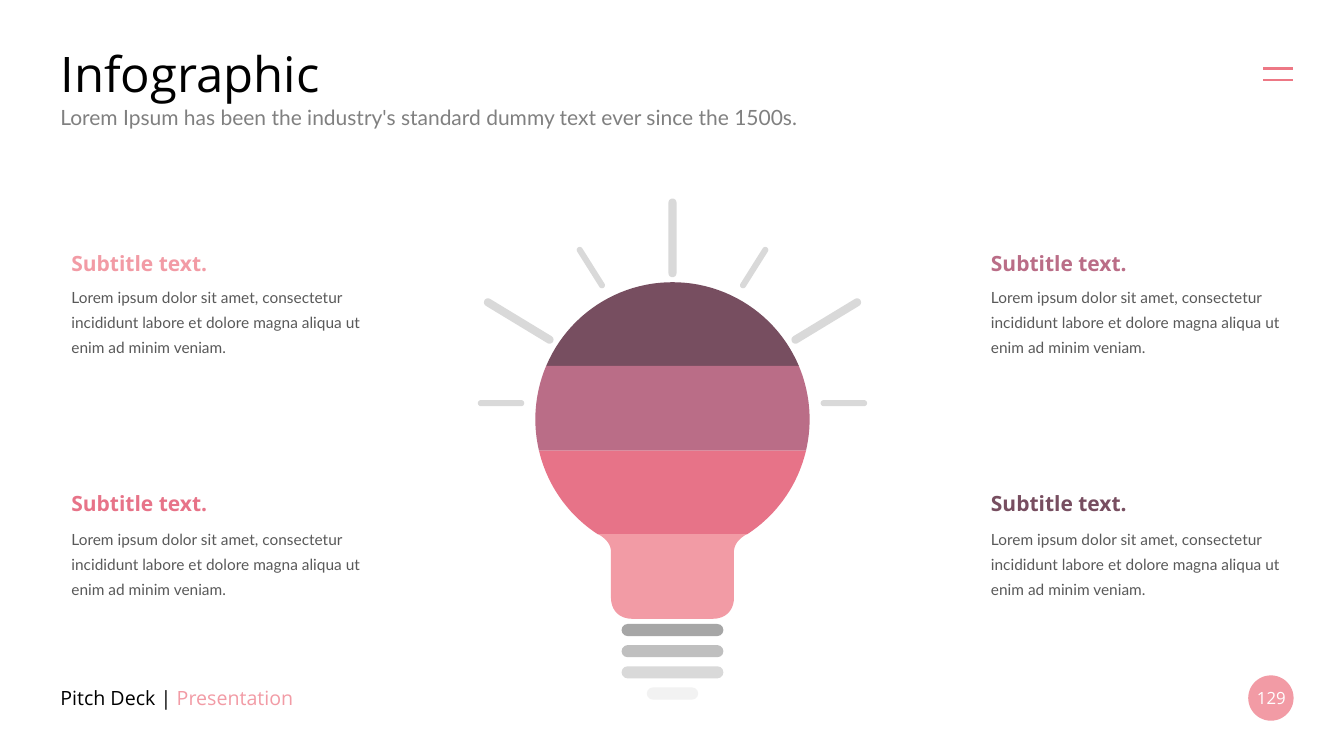
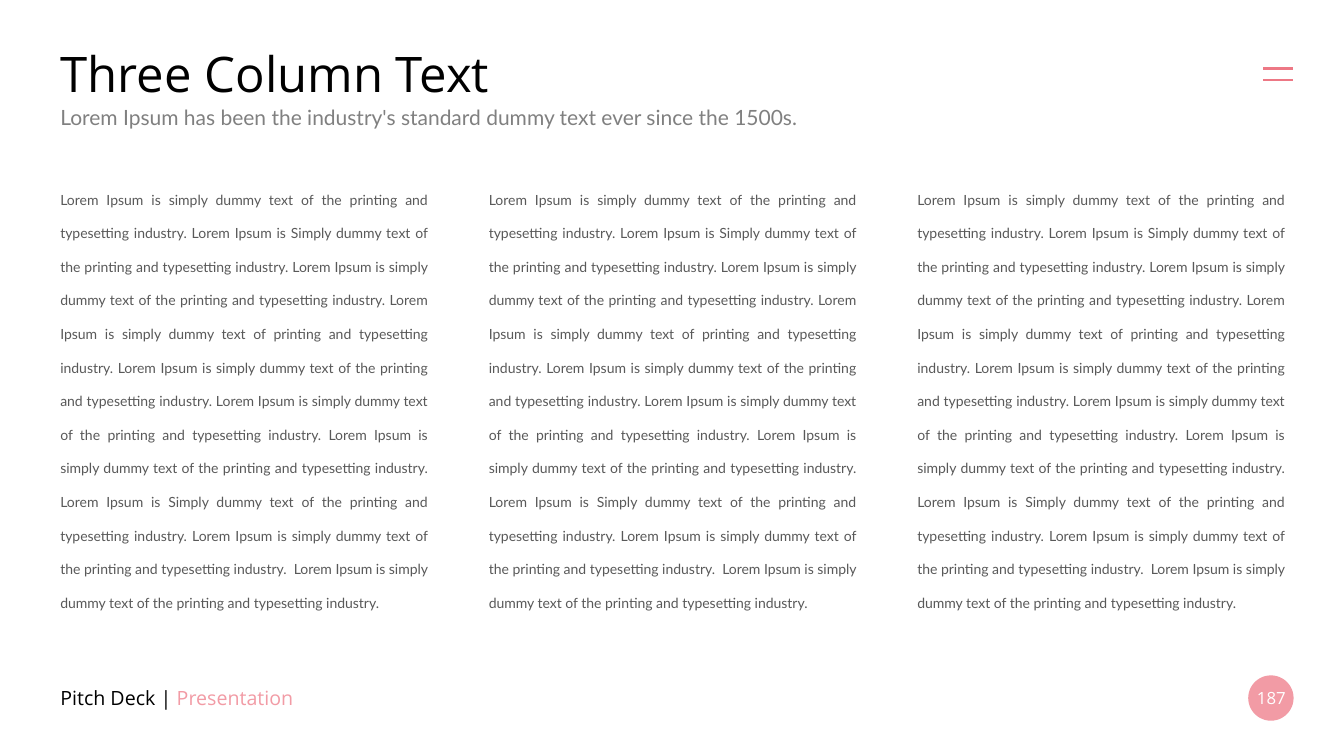
import math

import pptx
import pptx.dml.color
import pptx.enum.shapes
import pptx.enum.text
import pptx.oxml.ns
import pptx.util
from lxml import etree
from pptx.util import Inches

RGBColor = pptx.dml.color.RGBColor
MSO_SHAPE = pptx.enum.shapes.MSO_SHAPE
MSO_ANCHOR = pptx.enum.text.MSO_ANCHOR
MSO_AUTO_SIZE = pptx.enum.text.MSO_AUTO_SIZE
PP_ALIGN = pptx.enum.text.PP_ALIGN

BLACK = RGBColor(0x00, 0x00, 0x00)
WHITE = RGBColor(0xFF, 0xFF, 0xFF)
BODY_GRAY = RGBColor(0x59, 0x59, 0x59)
SUBTITLE_GRAY = RGBColor(0x80, 0x80, 0x80)
RAY_GRAY = RGBColor(0xD9, 0xD9, 0xD9)
PINK = RGBColor(0xF2, 0x9B, 0xA5)
ROSE = RGBColor(0xE7, 0x73, 0x88)
MAUVE = RGBColor(0xBA, 0x6D, 0x87)
PLUM = RGBColor(0x77, 0x4E, 0x60)
MENU_RED = RGBColor(0xED, 0x78, 0x85)
RING_GRAYS = (RGBColor(0xA6, 0xA6, 0xA6), RGBColor(0xBF, 0xBF, 0xBF),
              RAY_GRAY, RGBColor(0xF2, 0xF2, 0xF2))

HEADING_FONT = "Open Sans"
BODY_FONT = "Lato"
MARGIN = 0.5
CONTENT_WIDTH = 12.33

SUBTITLE = "Lorem Ipsum has been the industry's standard dummy text ever since the 1500s."
ITEM_TEXT = ("Lorem ipsum dolor sit amet, consectetur incididunt labore et dolore "
             "magna aliqua ut enim ad minim veniam.")
COLUMN_TEXT = (
    "Lorem Ipsum is simply dummy text of the printing and typesetting industry. "
    "Lorem Ipsum is Simply dummy text of the printing and typesetting industry. "
    "Lorem Ipsum is simply dummy text of the printing and typesetting industry. "
    "Lorem Ipsum is simply dummy text of printing and typesetting industry. "
    "Lorem Ipsum is simply dummy text of the printing and typesetting industry. "
    "Lorem Ipsum is simply dummy text of the printing and typesetting industry. "
    "Lorem Ipsum is simply dummy text of the printing and typesetting industry. "
    "Lorem Ipsum is Simply dummy text of the printing and typesetting industry. "
    "Lorem Ipsum is simply dummy text of the printing and typesetting industry.  "
    "Lorem Ipsum is simply dummy text of the printing and typesetting industry.")

BULB_X, BULB_Y, BULB_RADIUS = 6.67, 4.16, 1.36
BULB_BANDS = ((2.8, 3.63, PLUM), (3.63, 4.47, MAUVE), (4.47, 5.3, ROSE))
# Start point, end point and half thickness of the rays on the right
SIDE_RAYS = (((7.37, 2.83), (7.59, 2.48), 0.03),
             ((7.89, 3.37), (8.5, 3.0), 0.04),
             ((8.17, 4.0), (8.57, 4.0), 0.03))


def add_run(paragraph, text, size, font_name, color, bold=False):
    run = paragraph.add_run()
    run.text = text
    run.font.size = pptx.util.Pt(size)
    run.font.name = font_name
    run.font.color.rgb = color
    run.font.bold = bold


def add_text_box(slide, left, top, width, height, runs, align=PP_ALIGN.LEFT,
                 anchor=MSO_ANCHOR.TOP, line_points=None):
    """Add a one-paragraph box; each run is (text, size, font, color[, bold])."""
    box = slide.shapes.add_textbox(Inches(left), Inches(top), Inches(width), Inches(height))
    frame = box.text_frame
    frame.word_wrap = True
    frame.vertical_anchor = anchor
    if anchor == MSO_ANCHOR.TOP:
        frame.auto_size = MSO_AUTO_SIZE.SHAPE_TO_FIT_TEXT
    paragraph = frame.paragraphs[0]
    paragraph.alignment = align
    if line_points:
        paragraph.line_spacing = pptx.util.Pt(line_points)
    for run in runs:
        add_run(paragraph, *run)


def paint(shape, color):
    shape.shadow.inherit = False
    shape.fill.solid()
    shape.fill.fore_color.rgb = color
    shape.line.fill.background()


def add_preset(shapes, preset, left, top, width, height, color):
    shape = shapes.add_shape(preset, Inches(left), Inches(top), Inches(width), Inches(height))
    paint(shape, color)
    return shape


def add_outline(shapes, points, color):
    """Add a closed freeform through points given in inches."""
    corners = [(Inches(x), Inches(y)) for x, y in points]
    builder = shapes.build_freeform(*corners[0])
    builder.add_line_segments(corners[1:], close=True)
    paint(builder.convert_to_shape(), color)


def add_menu_icon(slide):
    group = slide.shapes.add_group_shape()
    for y in (0.68, 0.79):
        line = group.shapes.add_connector(pptx.enum.shapes.MSO_CONNECTOR.STRAIGHT,
                                          Inches(12.53), Inches(y), Inches(12.82), Inches(y))
        line.line.color.rgb = MENU_RED
        line.line.width = pptx.util.Pt(1.5)
        etree.SubElement(line.element.spPr, pptx.oxml.ns.qn("a:effectLst"))


def add_title(slide, text):
    title = slide.shapes.title
    title.left, title.top = Inches(MARGIN), Inches(0.39)
    title.width, title.height = Inches(CONTENT_WIDTH), Inches(0.66)
    frame = title.text_frame
    frame.auto_size = MSO_AUTO_SIZE.NONE
    frame.vertical_anchor = MSO_ANCHOR.MIDDLE
    frame.paragraphs[0].alignment = PP_ALIGN.LEFT
    add_run(frame.paragraphs[0], text, 35, HEADING_FONT, BLACK)


def add_framed_slide(presentation, title, number):
    """Add a slide with the title, subtitle, menu icon and footer all slides share."""
    slide = presentation.slides.add_slide(presentation.slide_layouts.get_by_name("Title Only"))
    add_title(slide, title)
    add_preset(slide.shapes, MSO_SHAPE.OVAL, 12.38, 6.7, 0.45, 0.45, PINK)
    add_text_box(slide, MARGIN, 6.72, 3.29, 0.4,
                 [("Pitch Deck | ", 14, HEADING_FONT, BLACK),
                  ("Presentation", 14, HEADING_FONT, PINK)], anchor=MSO_ANCHOR.MIDDLE)
    add_text_box(slide, 12.34, 6.81, 0.54, 0.22, [(number, 12, HEADING_FONT, WHITE)],
                 PP_ALIGN.CENTER, MSO_ANCHOR.MIDDLE)
    add_menu_icon(slide)
    add_text_box(slide, MARGIN, 0.99, CONTENT_WIDTH, 0.35,
                 [(SUBTITLE, 15, BODY_FONT, SUBTITLE_GRAY)])
    return slide


def mirror(points):
    """Reflect points across the bulb's vertical axis."""
    return [(2 * BULB_X - x, y) for x, y in points]


def arc_points(center, radius, start, end, steps=24):
    angles = [start + (end - start) * step / steps for step in range(steps + 1)]
    return [(center[0] + radius * math.cos(angle), center[1] + radius * math.sin(angle))
            for angle in angles]


def curve_points(start, control_1, control_2, end, steps=12):
    """Sample a cubic Bezier curve."""
    points = []
    for step in range(steps + 1):
        t = step / steps
        weights = ((1 - t) ** 3, 3 * t * (1 - t) ** 2, 3 * t ** 2 * (1 - t), t ** 3)
        controls = (start, control_1, control_2, end)
        points.append(tuple(sum(weight * control[axis]
                                for weight, control in zip(weights, controls))
                            for axis in (0, 1)))
    return points


def ray_points(start, end, radius):
    """Outline a bar with round ends."""
    angle = math.atan2(end[1] - start[1], end[0] - start[0])
    quarter = math.pi / 2
    return (arc_points(end, radius, angle - quarter, angle + quarter, 12)
            + arc_points(start, radius, angle + quarter, angle + 3 * quarter, 12))


def band_points(top, bottom):
    """Outline the slice of the bulb's circle between two heights."""
    start, end = (math.asin(max(-1, (y - BULB_Y) / BULB_RADIUS)) for y in (top, bottom))
    right = arc_points((BULB_X, BULB_Y), BULB_RADIUS, start, end)
    return right + mirror(right)[::-1]


def neck_points():
    left = (curve_points((5.93, 5.3), (5.93, 5.3), (6.07, 5.36), (6.06, 5.49))
            + curve_points((6.06, 5.93), (6.06, 5.93), (6.05, 6.14), (6.28, 6.14)))
    return left + mirror(left)[::-1]


def add_light_bulb(slide):
    shapes = slide.shapes.add_group_shape().shapes
    for index, color in enumerate(RING_GRAYS):
        width = 0.51 if index == len(RING_GRAYS) - 1 else 1.01
        ring = add_preset(shapes, MSO_SHAPE.ROUNDED_RECTANGLE, BULB_X - width / 2,
                          6.19 + 0.21 * index, width, 0.12, color)
        ring.adjustments[0] = 0.5
    for top, bottom, color in BULB_BANDS:
        add_outline(shapes, band_points(top, bottom), color)
    add_outline(shapes, neck_points(), PINK)
    add_outline(shapes, ray_points((BULB_X, 2.01), (BULB_X, 2.71), 0.04), RAY_GRAY)
    for ray in SIDE_RAYS:
        outline = ray_points(*ray)
        add_outline(shapes, outline, RAY_GRAY)
        add_outline(shapes, mirror(outline), RAY_GRAY)


def add_item(slide, left, heading_top, text_top, color):
    add_text_box(slide, left, heading_top, 2.3, 0.35,
                 [("Subtitle text.", 15, HEADING_FONT, color, True)])
    add_text_box(slide, left, text_top, 3.08, 0.83,
                 [(ITEM_TEXT, 11, BODY_FONT, BODY_GRAY)], line_points=18)


def build_infographic(presentation):
    slide = add_framed_slide(presentation, "Infographic", "129")
    add_light_bulb(slide)
    rows = ((2.44, 2.74, (PINK, MAUVE)), (4.82, 5.14, (ROSE, PLUM)))
    for heading_top, text_top, colors in rows:
        for left, color in zip((0.61, 9.73), colors):
            add_item(slide, left, heading_top, text_top, color)


def build_three_columns(presentation):
    slide = add_framed_slide(presentation, "Three Column Text", "187")
    for column in range(3):
        add_text_box(slide, MARGIN + 4.25 * column, 1.68, 3.84, 4.42,
                     [(COLUMN_TEXT, 10, BODY_FONT, BODY_GRAY)],
                     PP_ALIGN.JUSTIFY, line_points=24)


def main():
    presentation = pptx.Presentation()
    presentation.slide_width = Inches(13.33)
    presentation.slide_height = Inches(7.5)
    build_infographic(presentation)
    build_three_columns(presentation)
    presentation.save("out.pptx")


if __name__ == "__main__":
    main()
